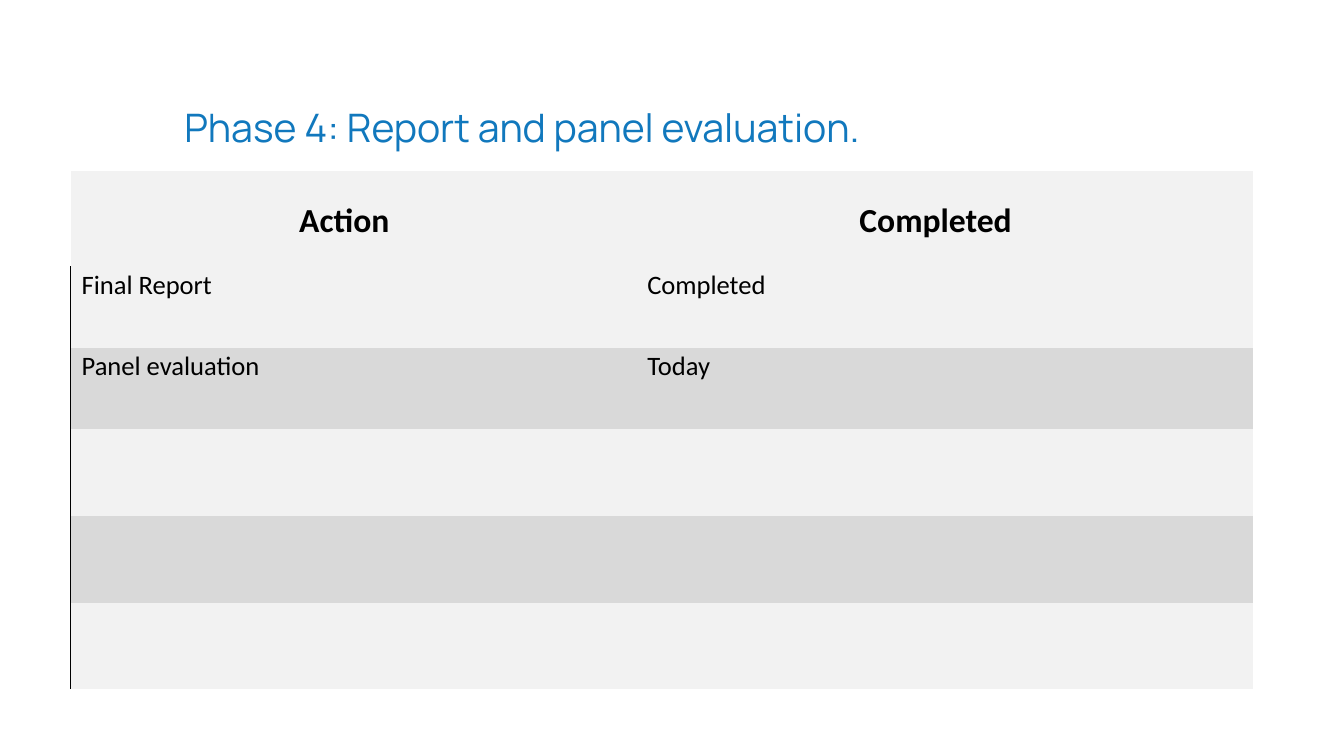
from lxml.etree import SubElement
from pptx import Presentation
from pptx.dml.color import RGBColor
from pptx.enum.text import MSO_ANCHOR, PP_ALIGN
from pptx.oxml import parse_xml
from pptx.oxml.ns import nsdecls, qn
from pptx.util import Inches, Pt

COLORS = {"heading": "1178BD", "text": "000000", "light": "F2F2F2", "dark": "D9D9D9"}
NO_STYLE = "{2D5ABB26-0587-4C30-8999-92F81FD0307C}"
COLUMN_WIDTHS = [5.61, 6.12]
ROW_HEIGHTS = [0.94, 0.81, 0.81, 0.86, 0.86, 0.86]
ACTIONS = [
    ("Action", "Completed"),
    ("Final Report", "Completed"),
    ("Panel evaluation", "Today"),
    ("", ""),
    ("", ""),
    ("", ""),
]


def add_run(paragraph, text, font, size, color, bold=False):
    """Add one formatted run to a paragraph."""
    run = paragraph.add_run()
    run.text = text
    run.font.name = font
    run.font.size = Pt(size)
    run.font.bold = bold
    run.font.color.rgb = RGBColor.from_string(COLORS[color])


def add_heading(slide, left, top, width, height):
    """Place the phase heading in the given box."""
    heading = slide.shapes.add_textbox(Inches(left), Inches(top), Inches(width), Inches(height))
    heading.text_frame.word_wrap = True
    paragraph = heading.text_frame.paragraphs[0]
    paragraph.line_spacing = 0.9
    properties = paragraph._p.get_or_add_pPr()
    properties.set("marL", str(Inches(0.09)))
    properties.set("indent", "0")
    add_run(paragraph, "Phase 4: Report and panel evaluation.", "Manrope", 28, "heading")


def add_left_border(cell):
    """Draw a thin line along the left side of a cell."""
    border = parse_xml(f'<a:lnL {nsdecls("a")} w="{Pt(1)}"/>')
    fill = SubElement(border, qn("a:solidFill"))
    SubElement(fill, qn("a:srgbClr"), val=COLORS["text"])
    cell._tc.get_or_add_tcPr().insert(0, border)


def fill_cell(cell, text, is_header, shade):
    """Set the shade, margins, text and border of one cell."""
    cell.fill.solid()
    cell.fill.fore_color.rgb = RGBColor.from_string(COLORS[shade])
    cell.margin_left, cell.margin_top = Inches(0.11), Inches(0.03)
    cell.margin_right, cell.margin_bottom = Inches(0.29), Inches(0.24)
    cell.vertical_anchor = MSO_ANCHOR.BOTTOM if is_header else MSO_ANCHOR.TOP
    paragraph = cell.text_frame.paragraphs[0]
    paragraph.alignment = PP_ALIGN.CENTER if is_header else PP_ALIGN.LEFT
    if text:
        add_run(paragraph, text, "Calibri", 24 if is_header else 19, "text", is_header)


def add_action_table(slide, left, top, width, height):
    """Place the table of actions and their status in the given box."""
    actions = slide.shapes.add_table(
        len(ACTIONS), len(COLUMN_WIDTHS), Inches(left), Inches(top), Inches(width), Inches(height)
    ).table
    actions.first_row = actions.horz_banding = False
    actions._tbl.tblPr.find(qn("a:tableStyleId")).text = NO_STYLE
    for column, column_width in zip(actions.columns, COLUMN_WIDTHS):
        column.width = Inches(column_width)
    for index, (row, row_height, texts) in enumerate(zip(actions.rows, ROW_HEIGHTS, ACTIONS)):
        row.height = Inches(row_height)
        shade = "dark" if index and index % 2 == 0 else "light"
        for cell, text in zip(row.cells, texts):
            fill_cell(cell, text, index == 0, shade)
        if index:
            add_left_border(row.cells[0])


def main():
    """Build and save the slide."""
    presentation = Presentation()
    presentation.slide_width, presentation.slide_height = Inches(13.33), Inches(7.5)
    slide = presentation.slides.add_slide(presentation.slide_layouts[6])
    add_heading(slide, 1.64, 1.03, 9.92, 0.83)
    add_action_table(slide, 0.7, 1.7, sum(COLUMN_WIDTHS), sum(ROW_HEIGHTS))
    presentation.save("out.pptx")


if __name__ == "__main__":
    main()
